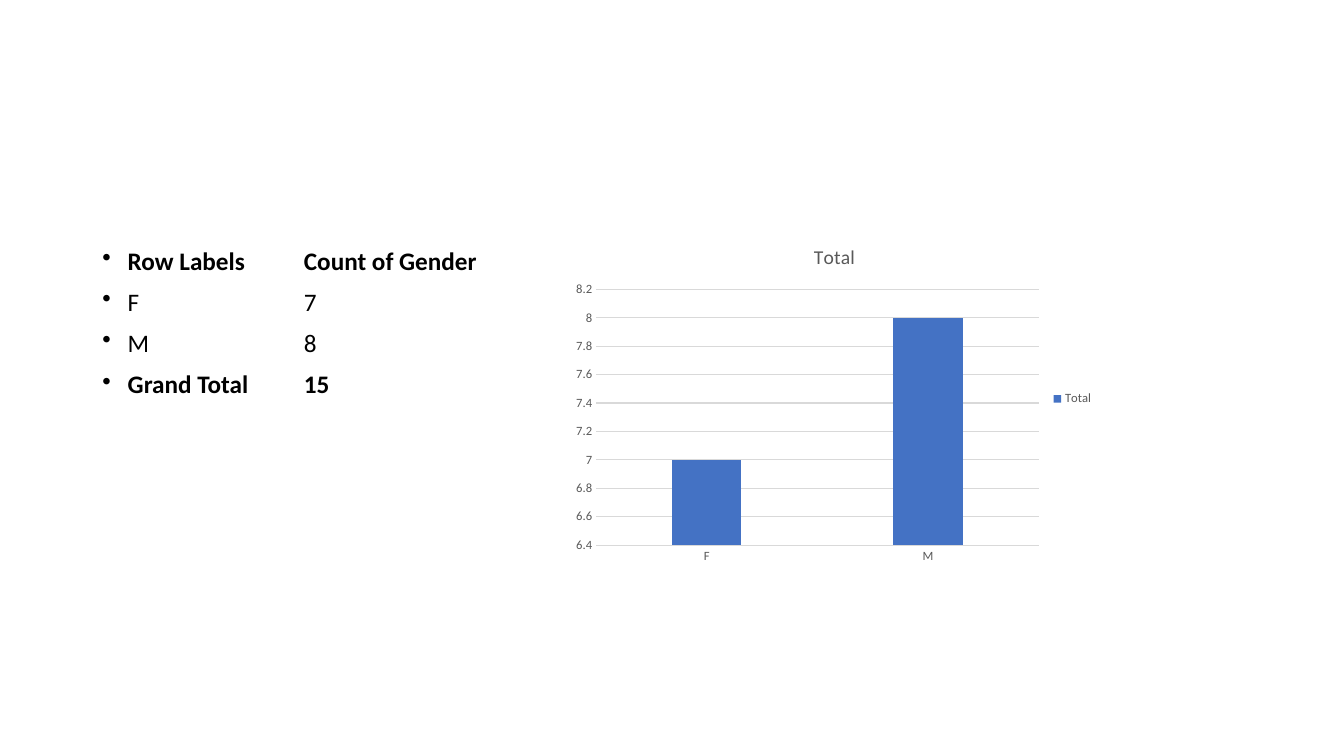
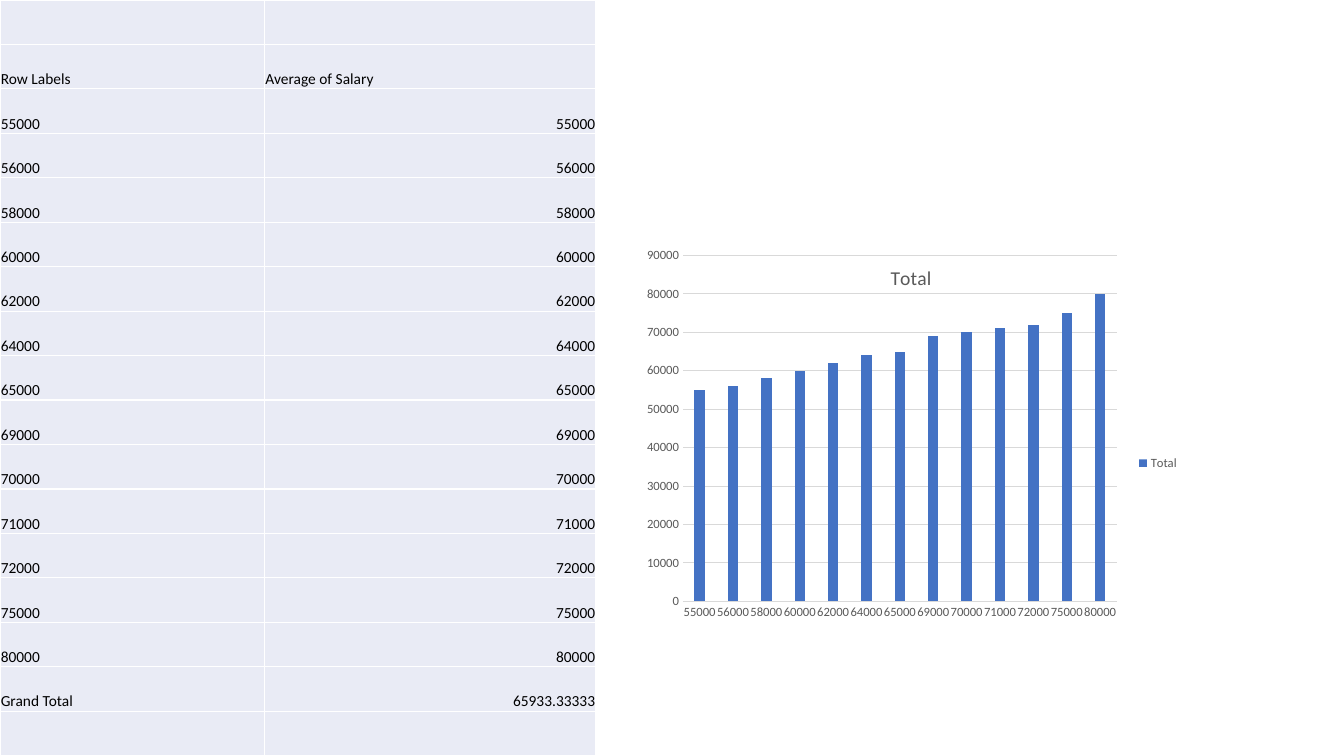
from dataclasses import dataclass

from lxml.etree import SubElement
from pptx import Presentation
from pptx.chart.data import CategoryChartData
from pptx.dml.color import RGBColor
from pptx.enum.chart import XL_CHART_TYPE as ChartType
from pptx.enum.chart import XL_LEGEND_POSITION as LegendPosition
from pptx.enum.chart import XL_TICK_MARK as TickMark
from pptx.enum.text import MSO_ANCHOR as Anchor
from pptx.enum.text import PP_ALIGN as Align
from pptx.oxml import parse_xml
from pptx.oxml.ns import nsdecls, qn
from pptx.util import Cm, Pt


@dataclass(frozen=True)
class Theme:
    font: str = "Calibri"
    text: RGBColor = RGBColor(0x00, 0x00, 0x00)
    chart_text: RGBColor = RGBColor(0x59, 0x59, 0x59)
    grid: RGBColor = RGBColor(0xD9, 0xD9, 0xD9)
    bar: RGBColor = RGBColor(0x44, 0x72, 0xC4)
    cell: RGBColor = RGBColor(0xE9, 0xEB, 0xF5)
    cell_border: str = "FFFFFF"
    body_size: Pt = Pt(18)
    table_size: Pt = Pt(11)
    title_size: Pt = Pt(14)
    chart_size: Pt = Pt(10)
    axis_size: Pt = Pt(9)
    rule: Pt = Pt(0.75)
    border: Pt = Pt(1)


@dataclass(frozen=True)
class Box:
    left: float
    top: float
    width: float
    height: float

    def lengths(self):
        return Cm(self.left), Cm(self.top), Cm(self.width), Cm(self.height)


THEME = Theme()
SLIDE_WIDTH, SLIDE_HEIGHT = 33.87, 19.05
GENDER_COUNTS = {"F": 7, "M": 8}
SALARIES = [55000, 56000, 58000, 60000, 62000, 64000, 65000,
            69000, 70000, 71000, 72000, 75000, 80000]


def style_font(font, size, color, bold=None):
    font.name = THEME.font
    font.size = size
    font.bold = bold
    font.color.rgb = color


def add_bullet(paragraph, indent, tab_stop):
    properties = paragraph._p.get_or_add_pPr()
    properties.set("marL", str(indent))
    properties.set("indent", str(-indent))
    SubElement(properties, qn("a:buChar"), char="•")
    tabs = SubElement(properties, qn("a:tabLst"))
    SubElement(tabs, qn("a:tab"), pos=str(tab_stop), algn="l")


def add_bullet_list(slide, box, rows):
    frame = slide.shapes.add_textbox(*box.lengths()).text_frame
    frame.word_wrap = True
    frame.margin_top = Cm(1.18)
    for index, (label, value, bold) in enumerate(rows):
        paragraph = frame.paragraphs[0] if index == 0 else frame.add_paragraph()
        paragraph.text = f"{label}\t{value}"
        add_bullet(paragraph, Cm(0.64), Cm(5.08))
        paragraph.line_spacing = 0.9
        paragraph.space_before = Pt(10)
        style_font(paragraph.font, THEME.body_size, THEME.text, bold)


def border_cell(cell):
    properties = cell._tc.get_or_add_tcPr()
    for index, side in enumerate(("lnL", "lnR", "lnT", "lnB")):
        properties.insert(index, parse_xml(
            f'<a:{side} {nsdecls("a")} w="{THEME.border}"><a:solidFill>'
            f'<a:srgbClr val="{THEME.cell_border}"/></a:solidFill></a:{side}>'))


def fill_cell(cell, text, align):
    cell.fill.solid()
    cell.fill.fore_color.rgb = THEME.cell
    border_cell(cell)
    if not text:
        return
    cell.vertical_anchor = Anchor.BOTTOM
    cell.margin_left = cell.margin_right = cell.margin_top = Cm(0.02)
    cell.margin_bottom = 0
    paragraph = cell.text_frame.paragraphs[0]
    paragraph.text = text
    paragraph.alignment = align
    style_font(paragraph.font, THEME.table_size, THEME.text)


def add_salary_table(slide, box, rows, column_widths):
    table = slide.shapes.add_table(len(rows), len(column_widths), *box.lengths()).table
    table.first_row = table.horz_banding = False
    for column, width in zip(table.columns, column_widths):
        column.width = Cm(width)
    for row_index, (row, texts) in enumerate(zip(table.rows, rows)):
        row.height = Cm(box.height / len(rows))
        for column_index, (cell, text) in enumerate(zip(row.cells, texts)):
            is_number = column_index == 1 and row_index > 1
            fill_cell(cell, text, Align.RIGHT if is_number else Align.LEFT)


def style_axis(axis, line):
    axis.major_tick_mark = axis.minor_tick_mark = TickMark.NONE
    style_font(axis.tick_labels.font, THEME.axis_size, THEME.chart_text, False)
    axis._element.find(qn("c:txPr")).find(qn("a:bodyPr")).set("rot", "-60000000")
    if line:
        style_rule(axis.format.line)
    else:
        axis.format.line.fill.background()


def style_rule(line):
    line.color.rgb = THEME.grid
    line.width = THEME.rule


def place_plot(chart, plot_box):
    area = chart._chartSpace.chart.plotArea
    for layout in area.findall(qn("c:layout")):
        area.remove(layout)
    values = "".join(f'<c:{name} val="{value}"/>'
                     for name, value in zip("xywh", plot_box))
    area.insert(0, parse_xml(
        f'<c:layout {nsdecls("c")}><c:manualLayout><c:layoutTarget val="inner"/>'
        f'<c:xMode val="edge"/><c:yMode val="edge"/>{values}'
        '</c:manualLayout></c:layout>'))


def add_total_chart(slide, box, counts, scale, plot_box=None):
    data = CategoryChartData()
    data.categories = list(counts)
    data.add_series("Total", list(counts.values()))
    chart = slide.shapes.add_chart(
        ChartType.COLUMN_CLUSTERED, *box.lengths(), data).chart
    style_font(chart.font, THEME.chart_size, THEME.text)

    chart.has_title = True
    title = chart.chart_title.text_frame
    title.text = "Total"
    style_font(title.paragraphs[0].font, THEME.title_size, THEME.chart_text, False)

    chart.has_legend = True
    chart.legend.position = LegendPosition.RIGHT
    chart.legend.include_in_layout = False
    style_font(chart.legend.font, THEME.axis_size, THEME.chart_text)

    style_axis(chart.category_axis, line=True)
    value_axis = chart.value_axis
    style_axis(value_axis, line=False)
    value_axis.minimum_scale, value_axis.maximum_scale, value_axis.major_unit = scale
    value_axis.has_major_gridlines = True
    style_rule(value_axis.major_gridlines.format.line)
    value_axis.tick_labels.number_format = "General"
    value_axis.tick_labels.number_format_is_linked = False

    plot = chart.plots[0]
    plot.gap_width = 219
    plot.overlap = -27
    plot.vary_by_categories = False
    fill = plot.series[0].format.fill
    fill.solid()
    fill.fore_color.rgb = THEME.bar
    if plot_box:
        place_plot(chart, plot_box)


def build_gender_slide(slide):
    rows = [("Row Labels", "Count of Gender", True)]
    rows += [(label, count, False) for label, count in GENDER_COUNTS.items()]
    rows.append(("Grand Total", sum(GENDER_COUNTS.values()), True))
    add_bullet_list(slide, Box(2.33, 5.08, 29.21, 12.09), rows)
    add_total_chart(slide, Box(14.25, 5.72, 13.56, 8.66), GENDER_COUNTS, (6.4, 8.2, 0.2))


def build_salary_slide(slide):
    labels = [str(salary) for salary in SALARIES]
    rows = [("", ""), ("Row Labels", "Average of Salary")]
    rows += [(label, label) for label in labels]
    rows += [("Grand Total", "65933.33333"), ("", "")]
    add_salary_table(slide, Box(0, 0, 15.02, SLIDE_HEIGHT), rows, (6.67, 8.35))
    add_total_chart(slide, Box(15.95, 6.22, 14.02, 10.9), dict(zip(labels, SALARIES)),
                    (0, 90000, 10000), (0.09, 0.02, 0.78, 0.8))


def main():
    presentation = Presentation()
    presentation.slide_width = Cm(SLIDE_WIDTH)
    presentation.slide_height = Cm(SLIDE_HEIGHT)
    blank = presentation.slide_layouts[6]
    for build in (build_gender_slide, build_salary_slide):
        build(presentation.slides.add_slide(blank))
    presentation.save("out.pptx")


if __name__ == "__main__":
    main()
